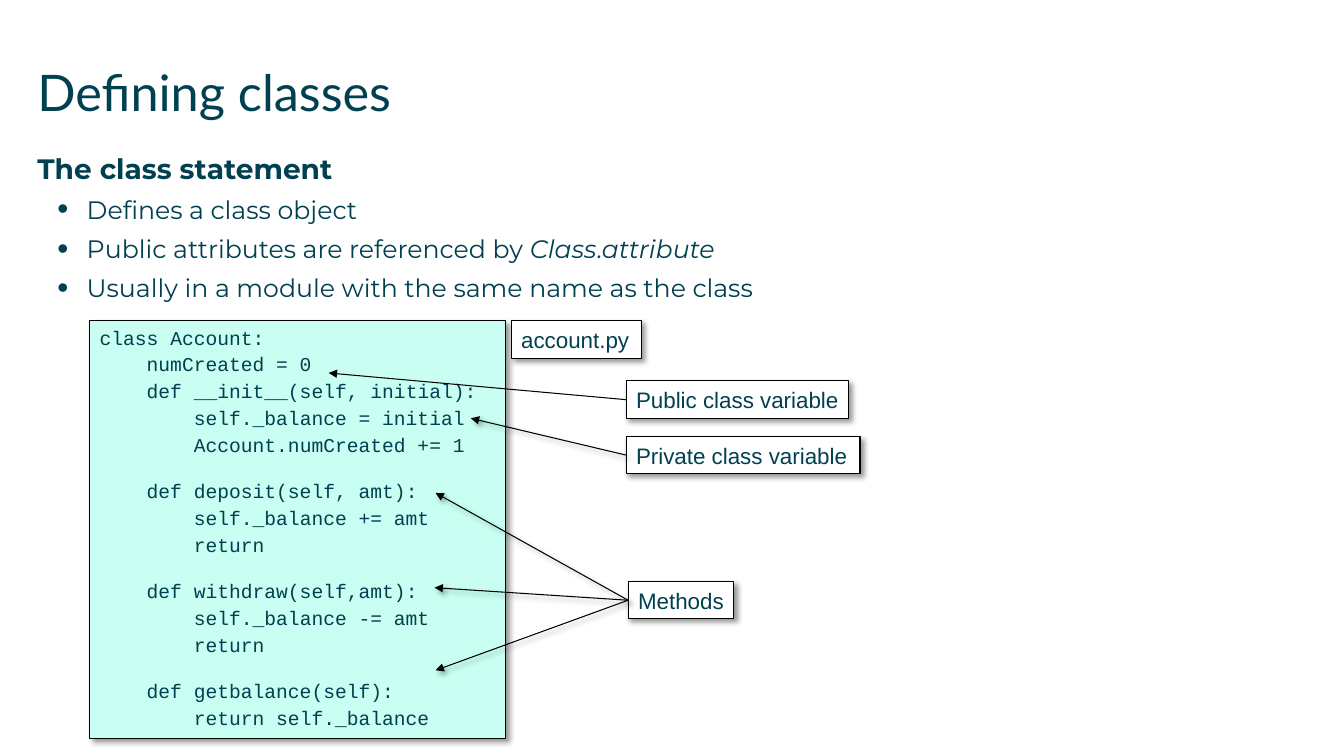
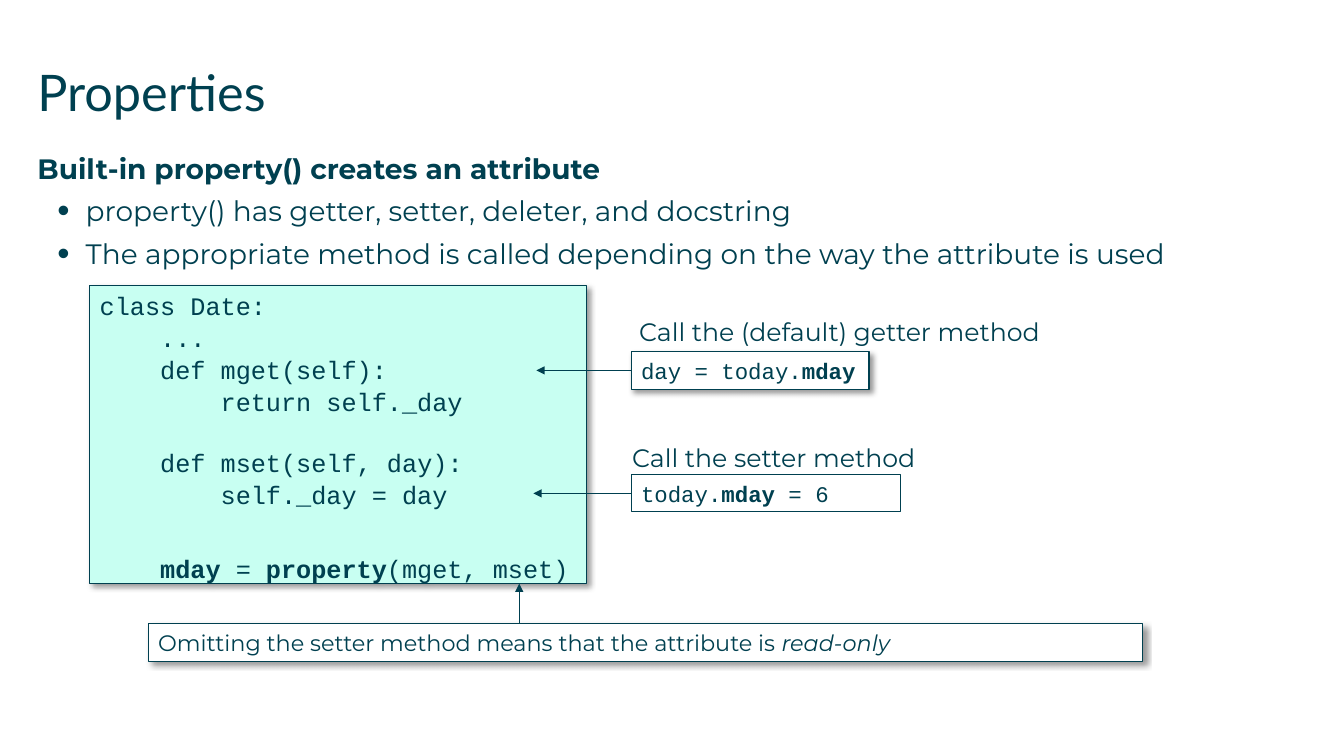
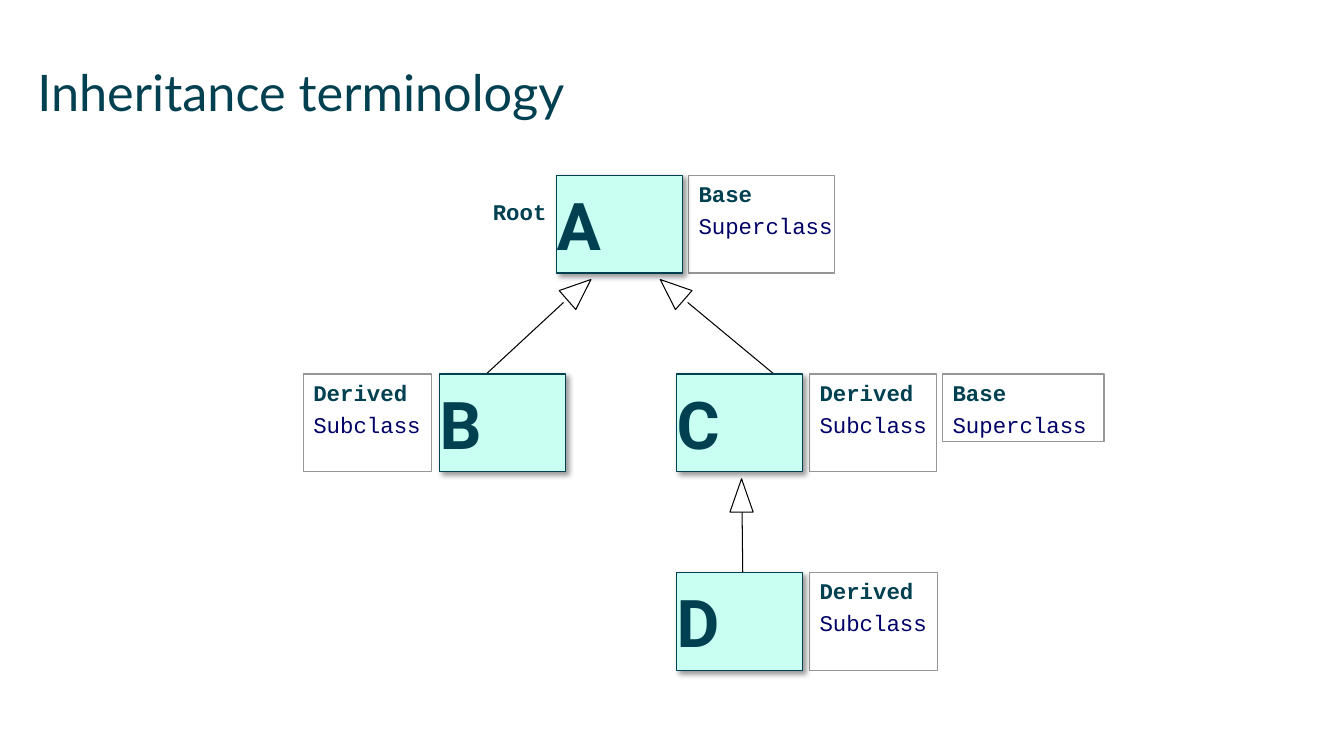
from dataclasses import dataclass
from lxml.etree import SubElement
from pptx import Presentation
from pptx.dml.color import RGBColor as Rgb
from pptx.enum.shapes import MSO_CONNECTOR as Link, MSO_SHAPE as Preset
from pptx.enum.text import MSO_ANCHOR as Anchor, PP_ALIGN as Align
from pptx.oxml.ns import qn
from pptx.util import Inches, Pt


@dataclass(frozen=True)
class Theme:
    ink: str = "004050"
    mint: str = "C8FFF2"
    white: str = "FFFFFF"
    black: str = "000000"
    grey: str = "969696"
    navy: str = "000066"
    heading: str = "Lato"
    body: str = "Montserrat"
    code: str = "Courier New"
    label: str = "Arial"
    letter: str = "Roboto"
    title_size: int = 36
    lead_size: int = 20
    point_size: int = 18
    label_size: int = 16
    letter_size: int = 47
    hairline: float = 0.75


T = Theme()
SIZE = (13.33, 7.5)
TITLE_BOX = (0.37, 0.61, 12.6, 0.88)
BODY_BOX = (0.37, 1.5, 12.59, 5.42)
BOLD, ITALIC = {"bold": True}, {"italic": True}
PAD = 0.1

CLASSES = {
    "title": "Defining classes",
    "lead": "The class statement",
    "points": [
        ["Defines a class object"],
        ["Public attributes are referenced by ", ("Class", ITALIC), ".", ("attribute", ITALIC)],
        ["Usually in a module with the same name as the class"],
    ],
    "code": [
        (0, ["class Account:"]),
        (1, ["numCreated = 0"]),
        (1, ["def __init__(self, initial):"]),
        (2, ["self._balance = initial"]),
        (2, ["Account.numCreated += 1"]),
        (1, ["def deposit(self, amt):"]),
        (2, ["self._balance += amt"]),
        (2, ["return"]),
        (1, ["def withdraw(self,amt):"]),
        (2, ["self._balance -= amt"]),
        (2, ["return"]),
        (1, ["def getbalance(self):"]),
        (2, ["return self._balance"]),
    ],
    "gaps": {5: 16.3, 8: 16.3, 11: 16.3},
    "labels": [
        ("account.py", (5.07, 3.18, 1.29, 0.38), []),
        ("Public class variable", (6.21, 3.78, 2.21, 0.37), [(3.26, 3.7, False)]),
        ("Private class variable", (6.21, 4.33, 2.32, 0.37), [(4.67, 4.15, True)]),
        ("Methods", (6.23, 5.77, 1.05, 0.37),
         [(4.32, 4.89, True), (4.31, 5.83, True), (4.32, 6.65, True)]),
    ],
}

PROPERTIES = {
    "title": "Properties",
    "lead": "Built-in property() creates an attribute",
    "points": [
        ["property() has getter, setter, deleter, and docstring"],
        ["The appropriate method is called depending on the way the attribute is used"],
    ],
    "code": [
        (0, ["class Date:"]),
        (1, ["..."]),
        (1, ["def mget(self):"]),
        (2, ["return self._day"]),
        (1, ["def mset(self, day):"]),
        (2, ["self._day = day"]),
        (1, [("mday", BOLD), " = ", ("property", BOLD), "(mget, mset)"]),
    ],
    "gaps": {0: 2.5, 4: 22.5, 6: 31.4},
    "calls": [
        (["day = today.", ("mday", BOLD)], (6.26, 3.49, 2.36, 0.37), True, 5.32),
        (["today.", ("mday", BOLD), " = 6"], (6.26, 4.71, 2.67, 0.37), False, 5.29),
    ],
    "captions": [
        ("Call the (default) getter method", (6.24, 3.09, 4.23, 0.4)),
        ("Call the setter method", (6.17, 4.34, 3.05, 0.4)),
    ],
    "note": ["Omitting the setter method means that the attribute is ", ("read-only", ITALIC)],
}

TIER_TOP, TIER_PITCH = 1.74, 1.97
NODE_WIDTH, NODE_HEIGHT = 1.25, 0.97
NODES = [("A", 5.52, 0), ("B", 4.36, 1), ("C", 6.71, 1), ("D", 6.71, 2)]
BASE, DERIVED = ("Base", "Superclass"), ("Derived", "Subclass")
ROLES = [
    (BASE, 6.83, 0, 1.45, NODE_HEIGHT),
    (DERIVED, 3.01, 1, 1.27, NODE_HEIGHT),
    (DERIVED, 8.03, 1, 1.26, NODE_HEIGHT),
    (BASE, 9.35, 1, 1.6, 0.67),
    (DERIVED, 8.03, 2, 1.27, NODE_HEIGHT),
]
INHERITS = [
    ((5.59, 3), (4.51, 4), (5.62, 2.72, 0.25, 0.31), 48.8),
    ((6.82, 3), (7.82, 3.83), (6.54, 2.72, 0.25, 0.31), 311.2),
    ((7.36, 5.06), (7.37, 5.96), (7.24, 4.75, 0.23, 0.33), 0),
]


def inches(values):
    return [Inches(value) for value in values]


def assign(target, values):
    for name, value in values.items():
        setattr(target, name, value)


def add_shadow(effects):
    drop = SubElement(effects, qn("a:outerShdw"), blurRad=str(Pt(4)), dist=str(Pt(3)),
                      dir=str(45 * 60000), algn="ctr", rotWithShape="0")
    tone = SubElement(drop, qn("a:srgbClr"), val=T.black)
    SubElement(tone, qn("a:alpha"), val="40000")


def write(paragraph, runs, font, size, color=T.ink, **style):
    paragraph.alignment = Align.LEFT
    for piece in runs:
        words, extra = piece if isinstance(piece, tuple) else (piece, {})
        run = paragraph.add_run()
        run.text = words
        assign(run.font, {"name": font, "size": Pt(size), **style, **extra})
        run.font.color.rgb = Rgb.from_string(color)


def frame_of(holder, anchor=Anchor.TOP, left=PAD, top=0.05, right=0):
    frame = holder.text_frame
    assign(frame, {"word_wrap": True, "vertical_anchor": anchor,
                   "margin_left": Inches(left), "margin_right": Inches(right),
                   "margin_top": Inches(top), "margin_bottom": Inches(top)})
    return frame


def next_paragraph(frame, index):
    return frame.add_paragraph() if index else frame.paragraphs[0]


def add_box(slide, box, fill=T.white, line=T.black, width=T.hairline,
            shadow=False, preset=Preset.RECTANGLE):
    shape = slide.shapes.add_shape(preset, *inches(box))
    if fill:
        shape.fill.solid()
        shape.fill.fore_color.rgb = Rgb.from_string(fill)
    else:
        shape.fill.background()
    shape.line.color.rgb = Rgb.from_string(line)
    shape.line.width = Pt(width)
    shape.shadow.inherit = False
    if shadow:
        add_shadow(shape.element.spPr.find(qn("a:effectLst")))
    return shape


def add_line(slide, start, end, color=T.black, arrow=False, shadow=False, source=None):
    line = slide.shapes.add_connector(Link.STRAIGHT, *inches((*start, *end)))
    if source is not None:
        line.begin_connect(source, 1)
    line.line.color.rgb = Rgb.from_string(color)
    line.line.width = Pt(T.hairline)
    outline = line.element.spPr
    if arrow:
        SubElement(outline.find(qn("a:ln")), qn("a:tailEnd"), type="triangle")
    effects = SubElement(outline, qn("a:effectLst"))
    if shadow:
        add_shadow(effects)


def add_label(slide, runs, box, font, **look):
    label = add_box(slide, box, **look)
    write(frame_of(label, Anchor.MIDDLE).paragraphs[0], runs, font, T.label_size)
    return label


def add_code(slide, content, box, size, gap, line):
    frame = frame_of(add_box(slide, box, T.mint, line, shadow=True))
    for index, (depth, runs) in enumerate(content["code"]):
        paragraph = next_paragraph(frame, index)
        paragraph.space_before = Pt(content["gaps"].get(index, gap))
        paragraph._p.get_or_add_pPr().set("marL", str(Pt(depth * 4 * 0.6 * size)))
        write(paragraph, runs, T.code, size)


def add_body(slide, content, size, indent, hang):
    frame = frame_of(slide.shapes.add_textbox(*inches(BODY_BOX)), left=0, top=0)
    write(frame.paragraphs[0], [content["lead"]], T.body, T.lead_size, bold=True)
    for runs in content["points"]:
        paragraph = frame.add_paragraph()
        write(paragraph, runs, T.body, size)
        layout = paragraph._p.get_or_add_pPr()
        layout.set("marL", str(Inches(indent)))
        layout.set("indent", str(Inches(-hang)))
        SubElement(layout, qn("a:buSzPct"), val="125000")
        SubElement(layout, qn("a:buFont"), typeface=T.label)
        SubElement(layout, qn("a:buChar"), char="•")
    for paragraph in frame.paragraphs:
        paragraph.space_after = Pt(6.5)


def new_slide(deck, heading):
    slide = deck.slides.add_slide(deck.slide_layouts[5])
    title = slide.shapes.title
    assign(title, dict(zip(("left", "top", "width", "height"), inches(TITLE_BOX))))
    write(frame_of(title, left=0, top=0).paragraphs[0], [heading], T.heading, T.title_size)
    return slide


def build_classes(deck):
    slide = new_slide(deck, CLASSES["title"])
    add_body(slide, CLASSES, T.point_size, 0.49, 0.29)
    add_code(slide, CLASSES, (0.89, 3.18, 4.12, 4.15), 14, 2.35, T.black)
    for words, box, targets in CLASSES["labels"]:
        label = add_label(slide, [words], box, T.label, shadow=True)
        left, top, _, height = box
        for x, y, shadow in targets:
            add_line(slide, (left, top + height / 2), (x, y),
                     arrow=True, shadow=shadow, source=label)


def build_properties(deck):
    slide = new_slide(deck, PROPERTIES["title"])
    add_body(slide, PROPERTIES, T.lead_size, 0.48, 0.28)
    add_code(slide, PROPERTIES, (0.89, 2.83, 4.93, 2.96), 18, 1.18, T.ink)
    for runs, box, shadow, tip in PROPERTIES["calls"]:
        call = add_label(slide, runs, box, T.code, line=T.ink, shadow=shadow)
        middle = box[1] + box[3] / 2
        add_line(slide, (box[0], middle), (tip, middle), T.ink, arrow=True, source=call)
    for words, box in PROPERTIES["captions"]:
        caption = frame_of(slide.shapes.add_textbox(*inches(box)))
        write(caption.paragraphs[0], [words], T.body, T.point_size)
    add_label(slide, PROPERTIES["note"], (1.47, 6.19, 9.86, 0.37), T.body,
              line=T.ink, shadow=True)
    add_line(slide, (5.15, 6.19), (5.15, 5.79), T.ink, arrow=True)


def build_inheritance(deck):
    slide = new_slide(deck, "Inheritance terminology")
    for names, left, tier, width, height in ROLES:
        box = (left, TIER_TOP + tier * TIER_PITCH, width, height)
        frame = frame_of(add_box(slide, box, None, T.grey, 1))
        for index, (name, color) in enumerate(zip(names, (T.ink, T.navy))):
            paragraph = next_paragraph(frame, index)
            paragraph.space_before = Pt(3.7 if index else 1)
            write(paragraph, [name], T.code, T.label_size, color, bold=not index)
    root = frame_of(slide.shapes.add_textbox(*inches((4.79, 1.92, 0.8, 0.35))))
    write(root.paragraphs[0], ["Root"], T.code, T.label_size, bold=True)
    for start, end, head, turn in INHERITS:
        add_line(slide, start, end)
        add_box(slide, head, preset=Preset.ISOSCELES_TRIANGLE).rotation = turn
    for name, left, tier in NODES:
        box = (left, TIER_TOP + tier * TIER_PITCH, NODE_WIDTH, NODE_HEIGHT)
        node = add_box(slide, box, T.mint, T.ink, 1, shadow=True)
        write(frame_of(node, Anchor.MIDDLE, left=0).paragraphs[0], [name],
              T.letter, T.letter_size, bold=True)


def main():
    deck = Presentation()
    deck.slide_width, deck.slide_height = inches(SIZE)
    for build in (build_classes, build_properties, build_inheritance):
        build(deck)
    deck.save("out.pptx")


if __name__ == "__main__":
    main()
